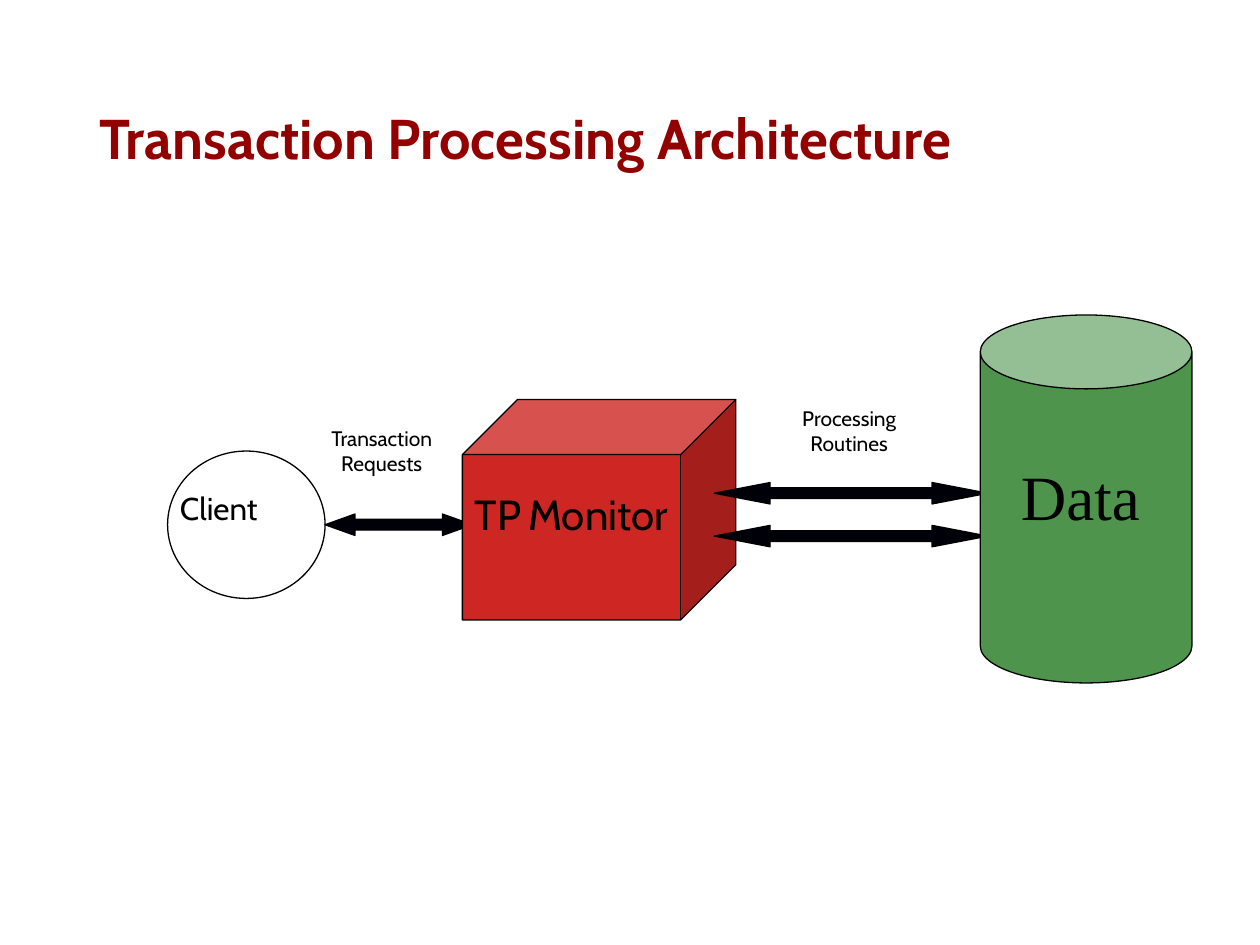
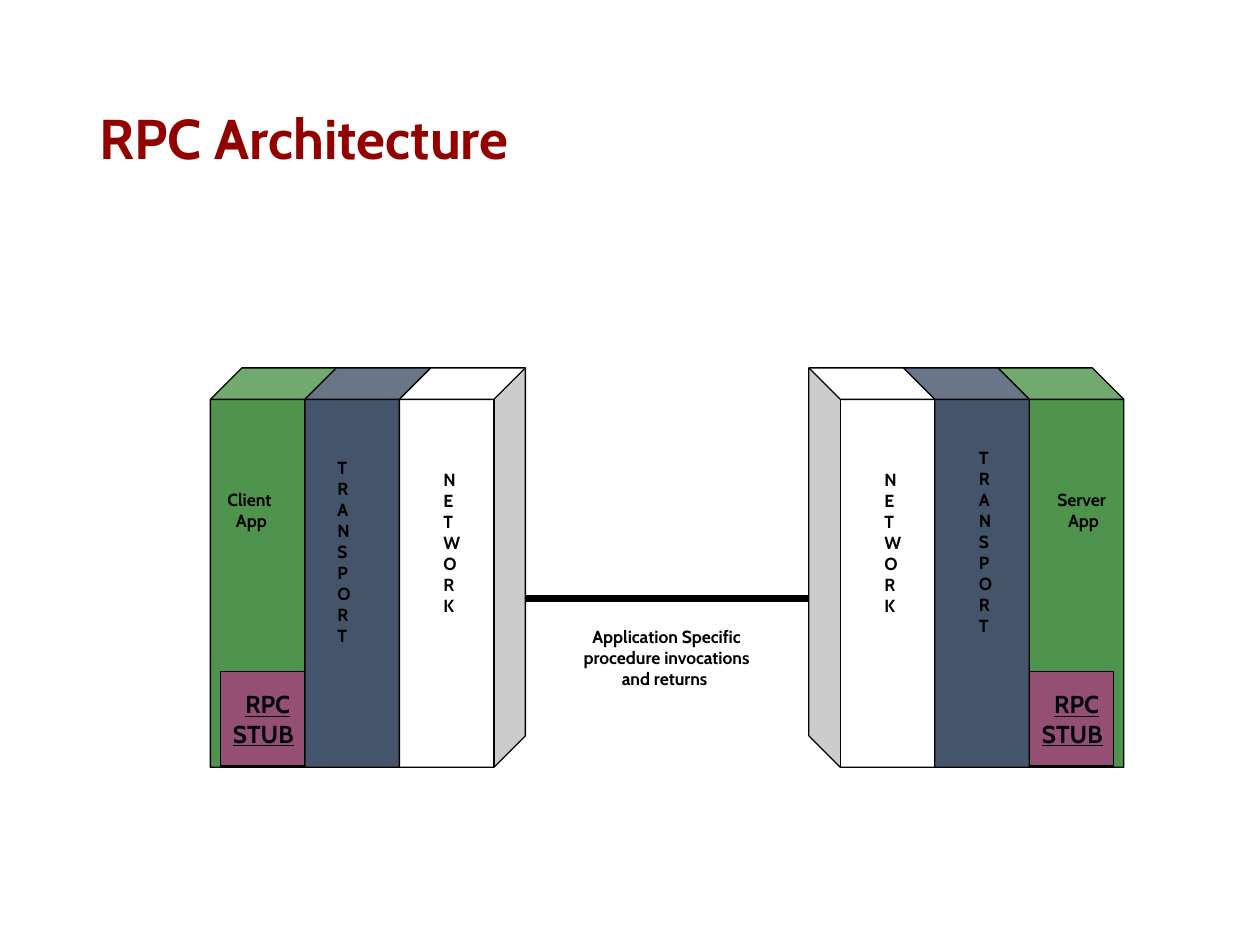
import pptx
import pptx.dml.color
import pptx.enum.shapes
import pptx.enum.text
import pptx.oxml.ns
import pptx.util
from lxml import etree

Inches = pptx.util.Inches
SHAPE = pptx.enum.shapes.MSO_SHAPE
ALIGN = pptx.enum.text.PP_ALIGN
ANCHOR = pptx.enum.text.MSO_ANCHOR
AUTO_SIZE = pptx.enum.text.MSO_AUTO_SIZE

FONT = "Cabin"
COLOURS = {
    "title": "920000",
    "black": "000000",
    "ink": "000008",
    "white": "FFFFFF",
    "red": "CE2622",
    "green": "4E944C",
    "slate": "44546A",
    "plum": "954F72",
}


def colour(name):
    return pptx.dml.color.RGBColor.from_string(COLOURS[name])


def add_text(slide, lines, left, top, width, height, *, size, font=FONT,
             color="black", bold=False, underline=False, aligns=ALIGN.LEFT,
             wrap=False, grow=True, anchor=ANCHOR.TOP, line_spacing=None):
    """Each line is a string or a list of (text, size) runs."""
    box = slide.shapes.add_textbox(Inches(left), Inches(top), Inches(width), Inches(height))
    frame = box.text_frame
    frame.word_wrap = wrap
    frame.auto_size = AUTO_SIZE.SHAPE_TO_FIT_TEXT if grow else AUTO_SIZE.NONE
    frame.vertical_anchor = anchor
    if not isinstance(aligns, list):
        aligns = [aligns] * len(lines)
    for index, (line, align) in enumerate(zip(lines, aligns)):
        paragraph = frame.paragraphs[0] if index == 0 else frame.add_paragraph()
        paragraph.alignment = align
        if line_spacing:
            paragraph.line_spacing = line_spacing
        runs = [(line, size)] if isinstance(line, str) else line
        for text, run_size in runs:
            run = paragraph.add_run()
            run.text = text
            run.font.name = font
            run.font.size = pptx.util.Pt(run_size)
            run.font.bold = bold
            run.font.underline = underline
            run.font.color.rgb = colour(color)


def add_title(slide, text):
    add_text(slide, [text], 0.69, 0.4, 8.62, 1.45, size=32, color="title", bold=True,
             wrap=True, grow=False, anchor=ANCHOR.MIDDLE, line_spacing=0.9)


def add_solid(slide, kind, left, top, width, height, fill, adjustments=(), mirrored=False):
    shape = slide.shapes.add_shape(kind, Inches(left), Inches(top), Inches(width), Inches(height))
    shape.shadow.inherit = False
    shape.fill.solid()
    shape.fill.fore_color.rgb = colour(fill)
    shape.line.color.rgb = colour("black")
    shape.line.width = pptx.util.Pt(0.75)
    for index, value in enumerate(adjustments):
        shape.adjustments[index] = value
    if mirrored:
        shape._element.spPr.find(pptx.oxml.ns.qn("a:xfrm")).set("flipH", "1")


def add_link(slide, left, right, y):
    link = slide.shapes.add_connector(pptx.enum.shapes.MSO_CONNECTOR.STRAIGHT,
                                      Inches(left), Inches(y), Inches(right), Inches(y))
    link.line.color.rgb = colour("black")
    link.line.width = pptx.util.Pt(4.5)
    etree.SubElement(link._element.spPr, pptx.oxml.ns.qn("a:effectLst"))


def add_stack(slide, app_left, step, stub_left, mirrored):
    """Application, transport and network layers, with the RPC stub in front."""
    for index, fill in enumerate(["green", "slate", "white"]):
        add_solid(slide, SHAPE.CUBE, app_left + index * step, 2.92, 1, 3.17, fill,
                  [0.25], mirrored)
    add_solid(slide, SHAPE.RECTANGLE, stub_left, 5.33, 0.67, 0.75, "plum")
    add_text(slide, ["RPC", "STUB"], stub_left, 5.42, 0.75, 0.61, size=14, color="ink",
             bold=True, underline=True, aligns=[ALIGN.CENTER, ALIGN.LEFT], wrap=True)


def build_transaction_slide(slide):
    add_title(slide, "Transaction Processing Architecture")

    # Client, monitor and data store with the arrows between them
    add_solid(slide, SHAPE.OVAL, 1.33, 3.58, 1.25, 1.17, "white")
    add_solid(slide, SHAPE.LEFT_RIGHT_ARROW, 2.58, 4.08, 1.17, 0.17, "ink", [0.5, 1.4])
    add_solid(slide, SHAPE.CUBE, 3.67, 3.17, 2.17, 1.75, "red", [0.25])
    for top in (4.17, 3.83):
        add_solid(slide, SHAPE.LEFT_RIGHT_ARROW, 5.67, top, 2.17, 0.17, "ink", [0.5, 2.6])
    add_solid(slide, SHAPE.CAN, 7.78, 2.5, 1.68, 2.92, "green", [0.349])

    # Labels
    add_text(slide, ["Data"], 7.92, 3.58, 1.31, 0.92, size=36, font="Times New Roman",
             aligns=ALIGN.CENTER, grow=False)
    add_text(slide, ["Client"], 1.33, 3.83, 1.23, 0.6, size=18)
    add_text(slide, [[("TP", 24), (" ", 18), ("Monitor", 24)]], 3.67, 3.83, 1.82, 0.6, size=24)
    add_text(slide, ["Transaction", "Requests"], 2.5, 3.33, 1.06, 0.54, size=12,
             aligns=ALIGN.CENTER)
    add_text(slide, ["Processing", "Routines"], 6.25, 3.17, 0.98, 0.54, size=12,
             aligns=ALIGN.CENTER)


def build_rpc_slide(slide):
    add_title(slide, "RPC Architecture")

    # Client and server stacks joined by the network link
    add_stack(slide, 1.67, 0.75, 1.75, mirrored=False)
    add_stack(slide, 7.92, -0.75, 8.17, mirrored=True)
    add_link(slide, 4.17, 6.42, 4.75)

    # Application names
    for name, left, width in [("Client ", 1.67, 0.65), ("Server ", 8.25, 0.7)]:
        add_text(slide, [name, "App"], left, 3.83, width, 0.47, size=10, bold=True,
                 aligns=ALIGN.CENTER)

    # Layer names, one letter a line
    for name, left, top, width, height in [
        ("TRANSPORT", 2.58, 3.58, 0.33, 2.06),
        ("TRANSPORT", 7.67, 3.5, 0.33, 2.06),
        ("NETWORK", 3.42, 3.67, 0.34, 1.66),
        ("NETWORK", 6.92, 3.67, 0.34, 1.66),
    ]:
        add_text(slide, list(name), left, top, width, height, size=10, bold=True)

    add_text(slide, ["Application Specific", "procedure invocations", "and returns "],
             4.42, 4.92, 1.74, 0.87, size=10, bold=True, aligns=ALIGN.CENTER, wrap=True)


def main():
    presentation = pptx.Presentation()
    presentation.slide_width = Inches(10)
    presentation.slide_height = Inches(7.5)
    blank = presentation.slide_layouts[6]
    for build in (build_transaction_slide, build_rpc_slide):
        build(presentation.slides.add_slide(blank))
    presentation.save("out.pptx")


if __name__ == "__main__":
    main()
